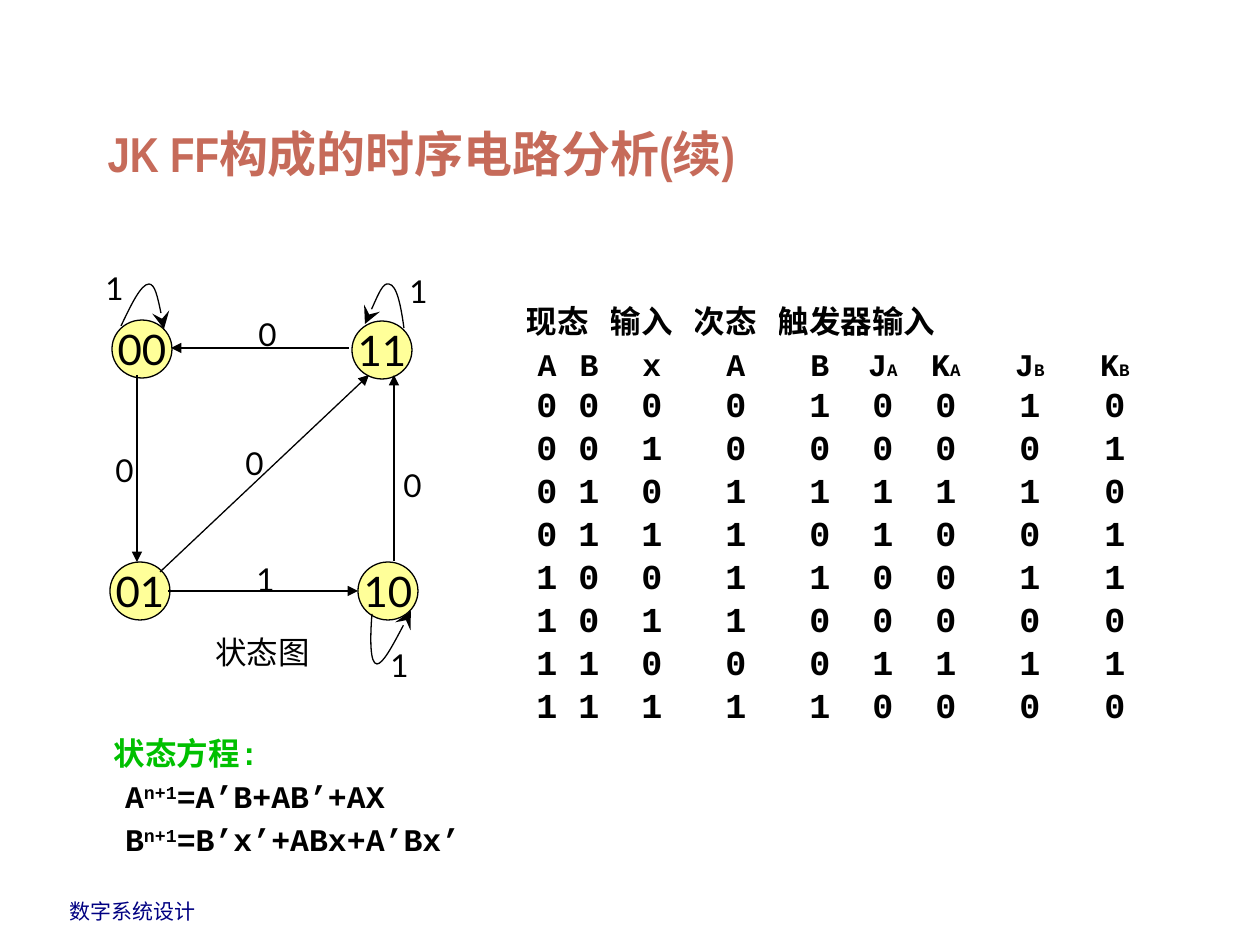
import pptx
import pptx.dml.color
import pptx.enum.shapes
import pptx.enum.text
import pptx.oxml
import pptx.oxml.ns
import pptx.util

SCALE = 914400 // 126
COLORS = {
    "title": "C66B5A",
    "state": "FFFF99",
    "text": "000000",
    "heading": "00C000",
    "footer": "000082",
}
LATO = "Lato"
MONO = "Courier New"
ALIGN = pptx.enum.text.PP_ALIGN
ANCHOR = pptx.enum.text.MSO_ANCHOR

STATES = [("00", 112, 320), ("11", 352, 321), ("01", 110, 562), ("10", 358, 562)]
TRANSITIONS = [
    (137, 375, 137, 562),
    (168, 591, 358, 591),
    (160, 572, 369, 375),
    (349, 348, 171, 348),
    (394, 561, 394, 375),
]
LOOPS = [
    [(121, 326), (131, 305), (141, 284), (149, 284), (155, 284), (160, 306), (164, 329)],
    [(404, 328), (401, 306), (397, 285), (389, 284), (383, 282), (374, 304), (365, 324)],
    [(372, 614), (370, 639), (370, 664), (377, 664), (383, 664), (397, 638), (411, 611)],
]
INPUT_LABELS = [
    ("0", 233, 438),
    ("1", 244, 554),
    ("0", 391, 460),
    ("0", 246, 309),
    ("0", 103, 445),
    ("1", 378, 640),
    ("1", 93, 263),
    ("1", 397, 266),
]
COLUMN_WIDTHS = [42, 42, 84, 84, 84, 42, 84, 84, 86]
GROUPS = [("现态", 0, 1), ("输入", 2, 2), ("次态", 3, 3), ("触发器输入", 4, 8)]
COLUMNS = ["A", "B", "x", "A", "B", "JA", "KA", "JB", "KB"]
ROWS = [
    "000010010",
    "001000001",
    "010111110",
    "011101001",
    "100110011",
    "101100000",
    "110001111",
    "111110000",
]
EQUATIONS = [("A", "=A’B+AB’+AX"), ("B", "=B’x’+ABx+A’Bx’")]


def px(n):
    return pptx.util.Emu(n * SCALE)


def rgb(name):
    return pptx.dml.color.RGBColor.from_string(COLORS[name])


def add_run(p, text, size, font, color="text", bold=False):
    r = p.add_run()
    r.text = text
    r.font.size = pptx.util.Pt(size)
    r.font.name = font
    r.font.bold = bold
    r.font.color.rgb = rgb(color)
    return r


def add_text(s, text, x, y, w, h, size=18, font=LATO, color="text"):
    tf = s.shapes.add_textbox(px(x), px(y), px(w), px(h)).text_frame
    tf.word_wrap = True
    add_run(tf.paragraphs[0], text, size, font, color)


def add_title(s):
    sp = s.shapes.title
    sp.left, sp.top, sp.width, sp.height = px(95), px(32), px(1071), px(157)
    tf = sp.text_frame
    tf.auto_size = pptx.enum.text.MSO_AUTO_SIZE.NONE
    tf.vertical_anchor = ANCHOR.BOTTOM
    p = tf.paragraphs[0]
    p.alignment = ALIGN.LEFT
    add_run(p, "JK FF构成的时序电路分析(续)", 28, "Arial Narrow", "title", True)


def style_line(sp, head=None, size="med"):
    sp.line.color.rgb = rgb("text")
    sp.line.width = pptx.util.Pt(0.75)
    if head:
        ln = sp.line._get_or_add_ln()
        end = pptx.oxml.parse_xml(
            f'<a:tailEnd {pptx.oxml.ns.nsdecls("a")} type="{head}" w="{size}" len="{size}"/>'
        )
        ln.append(end)


def add_state(s, name, x, y):
    sp = s.shapes.add_shape(
        pptx.enum.shapes.MSO_SHAPE.OVAL, px(x), px(y), px(60), px(58)
    )
    sp.shadow.inherit = False
    sp.fill.solid()
    sp.fill.fore_color.rgb = rgb("state")
    style_line(sp)
    tf = sp.text_frame
    tf.word_wrap = False
    tf.vertical_anchor = ANCHOR.MIDDLE
    p = tf.paragraphs[0]
    p.alignment = ALIGN.CENTER
    add_run(p, name, 24, LATO)


def add_transition(s, x1, y1, x2, y2):
    line = s.shapes.add_connector(
        pptx.enum.shapes.MSO_CONNECTOR.STRAIGHT, px(x1), px(y1), px(x2), px(y2)
    )
    style_line(line, "triangle")
    line._element.spPr.append(
        pptx.oxml.parse_xml(f'<a:effectLst {pptx.oxml.ns.nsdecls("a")}/>')
    )


def add_loop(s, points):
    start, *controls = points
    builder = s.shapes.build_freeform(*start, scale=SCALE)
    builder.add_line_segments(controls, close=False)
    sp = builder.convert_to_shape()
    sp.shadow.inherit = False
    sp.fill.background()
    style_line(sp, "stealth", "lg")
    segments = list(sp._element.iter(pptx.oxml.ns.qn("a:lnTo")))
    for i in range(0, len(segments), 3):
        curve = pptx.oxml.parse_xml(f'<a:cubicBezTo {pptx.oxml.ns.nsdecls("a")}/>')
        segments[i].addprevious(curve)
        for segment in segments[i:i + 3]:
            curve.append(segment[0])
            segment.getparent().remove(segment)


def format_cell(cell, alignment):
    cell.fill.background()
    cell.margin_left = cell.margin_right = cell.margin_top = cell.margin_bottom = 0
    cell.vertical_anchor = ANCHOR.MIDDLE
    p = cell.text_frame.paragraphs[0]
    p.alignment = alignment
    p.line_spacing = pptx.util.Pt(24)
    p.font.size = pptx.util.Pt(18)
    return p


def add_state_table(s):
    count = len(ROWS) + 2
    table = s.shapes.add_table(
        count, len(COLUMNS), px(526), px(300), px(sum(COLUMN_WIDTHS)), px(43 * count)
    ).table
    table.first_row = False
    table.horz_banding = False
    for column, width in zip(table.columns, COLUMN_WIDTHS):
        column.width = px(width)
    for row in table.rows:
        row.height = px(43)
    for i in range(len(COLUMNS)):
        format_cell(table.cell(0, i), ALIGN.LEFT)
    for text, first, last in GROUPS:
        cell = table.cell(0, first)
        if last > first:
            cell.merge(table.cell(0, last))
        add_run(cell.text_frame.paragraphs[0], text, 18, MONO, bold=True)
    for i, name in enumerate(COLUMNS):
        p = format_cell(table.cell(1, i), ALIGN.CENTER)
        add_run(p, name[0], 18, MONO, bold=True)
        if name[1:]:
            add_run(p, name[1:], 10, MONO, bold=True)
    for j, values in enumerate(ROWS, 2):
        for i, value in enumerate(values):
            p = format_cell(table.cell(j, i), ALIGN.CENTER)
            add_run(p, value, 20, MONO, bold=True)


def add_equations(s):
    tf = s.shapes.add_textbox(px(111), px(725), px(420), px(160)).text_frame
    tf.word_wrap = False
    tf.margin_left = tf.margin_right = px(3)
    tf.margin_top = tf.margin_bottom = px(4)
    p = tf.paragraphs[0]
    p.line_spacing = pptx.util.Pt(24.6)
    add_run(p, "状态方程:", 18, MONO, "heading", True)
    for name, expression in EQUATIONS:
        p = tf.add_paragraph()
        p.line_spacing = pptx.util.Pt(24.6)
        p._p.get_or_add_pPr().set("marL", str(px(11)))
        add_run(p, name, 18, MONO, bold=True)
        r = add_run(p, "n+1", 18, MONO, bold=True)
        r.font._element.set("baseline", "30000")
        add_run(p, expression, 18, MONO, bold=True)


def main():
    prs = pptx.Presentation()
    prs.slide_width, prs.slide_height = px(1260), px(945)
    s = prs.slides.add_slide(prs.slide_layouts[5])
    add_title(s)
    for state in STATES:
        add_state(s, *state)
    for transition in TRANSITIONS:
        add_transition(s, *transition)
    for loop in LOOPS:
        add_loop(s, loop)
    for text, x, y in INPUT_LABELS:
        add_text(s, text, x, y, 44, 50)
    add_text(s, "状态图", 203, 627, 156, 50)
    add_state_table(s)
    add_equations(s)
    add_text(s, "数字系统设计", 57, 892, 160, 38, 12, "Arial", "footer")
    prs.save("out.pptx")


if __name__ == "__main__":
    main()
